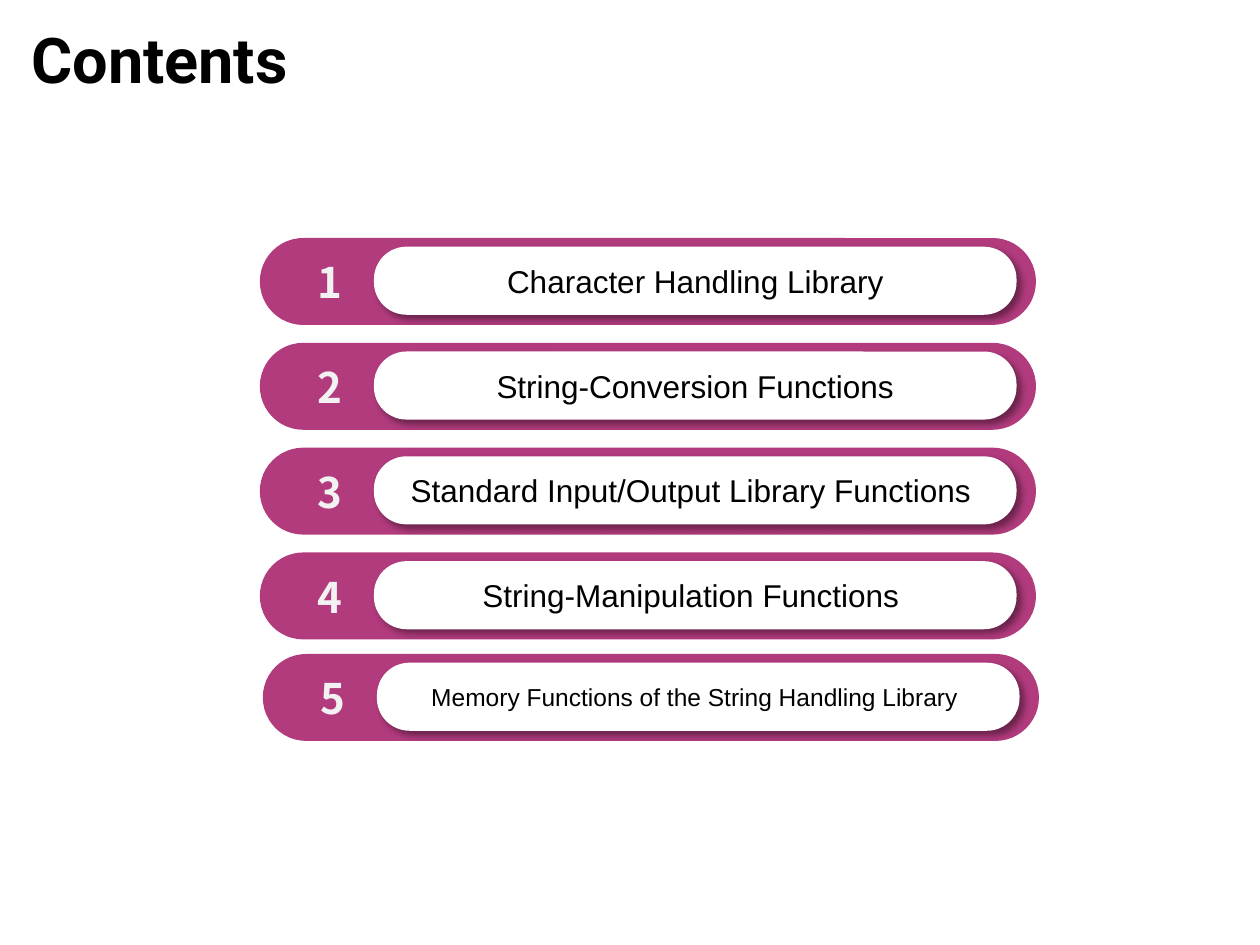
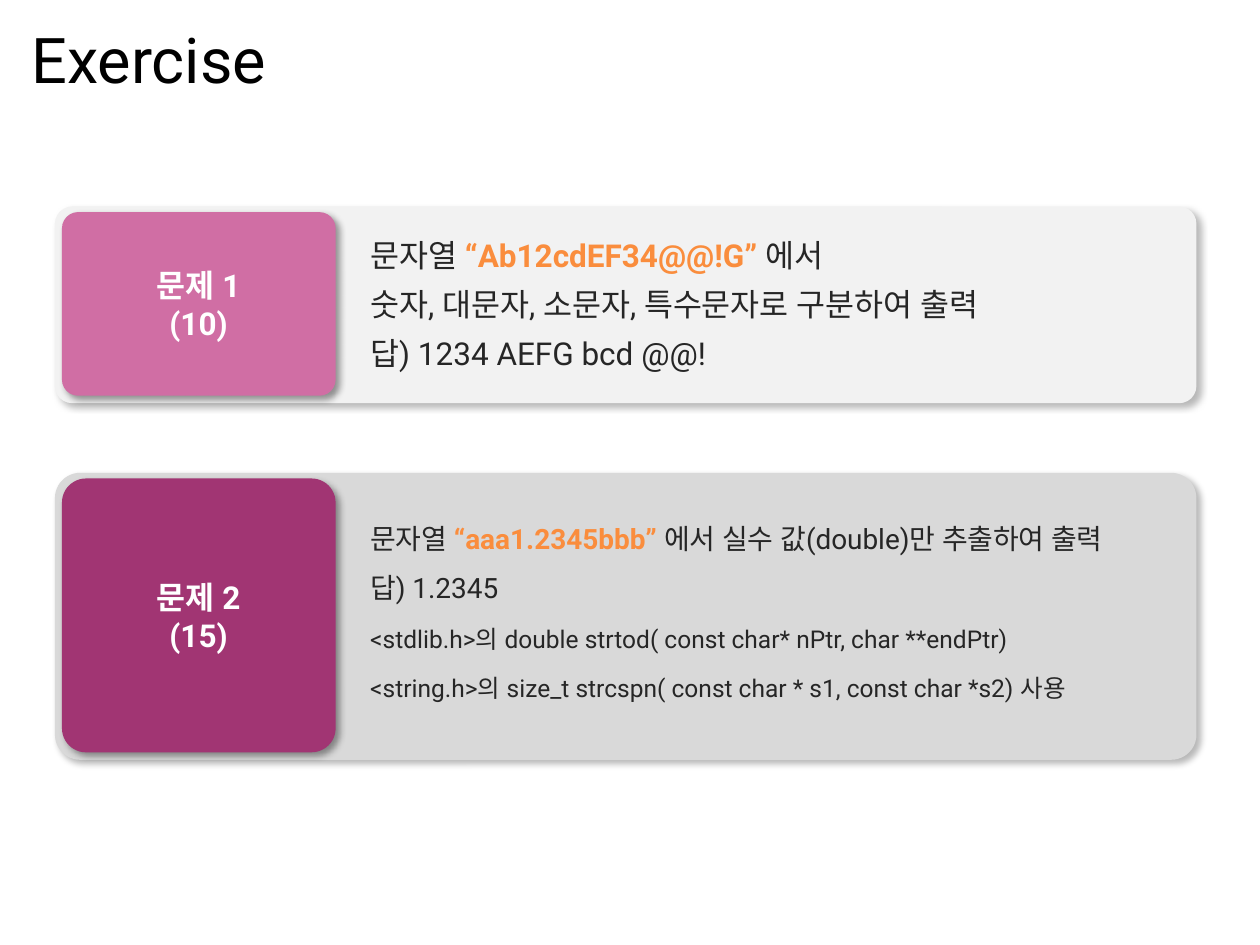
from lxml.etree import SubElement
from pptx import Presentation
from pptx.dml.color import RGBColor
from pptx.enum.shapes import MSO_SHAPE
from pptx.enum.text import MSO_ANCHOR, PP_ALIGN
from pptx.oxml.ns import qn
from pptx.util import Pt

BLACK = RGBColor(0x00, 0x00, 0x00)
WHITE = RGBColor(0xFF, 0xFF, 0xFF)
INK = RGBColor(0x26, 0x26, 0x26)
ORANGE = RGBColor(0xFA, 0x8D, 0x3D)
MAGENTA = RGBColor(0xB2, 0x3B, 0x7E)
PINK = RGBColor(0xD0, 0x6E, 0xA4)
PLUM = RGBColor(0xA1, 0x35, 0x73)
PALE_GREY = RGBColor(0xF2, 0xF2, 0xF2)
GREY = RGBColor(0xD9, 0xD9, 0xD9)

SANS = "Roboto"
TOPIC_FONT = "Arial"
NUMBER_FONT = "Noto Sans CJK KR"

TOPICS = [
    ("Character Handling Library", 18),
    ("String-Conversion Functions", 18),
    ("Standard Input/Output Library Functions ", 18),
    ("String-Manipulation Functions ", 18),
    ("Memory Functions of the String Handling Library ", 14),
]

# Each line is a text size and its (text, highlighted) spans.
EXERCISE_1 = [
    (18, [("문자열 ", False), ("“Ab12cdEF34@@!G” ", True), ("에서", False)]),
    (18, [("숫자, 대문자, 소문자, 특수문자로 구분하여 출력", False)]),
    (18, [("답) 1234 AEFG bcd @@!", False)]),
]
EXERCISE_2 = [
    (16, [("문자열 ", False), ("“aaa1.2345bbb” ", True),
          ("에서 실수 값(double)만 추출하여 출력", False)]),
    (16, [("답) 1.2345", False)]),
    (14, [("<stdlib.h>의 double strtod( const char* nPtr, char **endPtr)", False)]),
    (14, [("<string.h>의 size_t strcspn( const char * s1, const char *s2) 사용", False)]),
]


def style_span(span, size, color, font=SANS, bold=False):
    span.font.size = Pt(size)
    span.font.name = font
    span.font.bold = bold
    span.font.color.rgb = color
    SubElement(span.font._element, qn("a:ea"), typeface=font)


def style_text(shape, size, color, font=SANS, bold=False, align=PP_ALIGN.CENTER):
    for para in shape.text_frame.paragraphs:
        para.alignment = align
        for span in para.runs:
            style_span(span, size, color, font, bold)


def add_text_box(page, left, top, width, height, text="", wrap=True):
    box = page.shapes.add_textbox(Pt(left), Pt(top), Pt(width), Pt(height))
    box.text_frame.word_wrap = wrap
    box.text_frame.text = text
    return box


def add_shadow(shape, opacity):
    """Cast a soft shadow to the lower right; opacity is in percent."""
    effects = shape._element.spPr.find(qn("a:effectLst"))
    shadow = SubElement(effects, qn("a:outerShdw"), blurRad=str(Pt(4)),
                        dist=str(Pt(3)), dir=str(45 * 60000),
                        algn="tl", rotWithShape="0")
    color = SubElement(shadow, qn("a:srgbClr"), val=str(BLACK))
    SubElement(color, qn("a:alpha"), val=str(opacity * 1000))


def add_rounded(page, left, top, width, height, fill, corner, opacity=0):
    shape = page.shapes.add_shape(MSO_SHAPE.ROUNDED_RECTANGLE,
                                  Pt(left), Pt(top), Pt(width), Pt(height))
    shape.adjustments[0] = corner
    shape.fill.solid()
    shape.fill.fore_color.rgb = fill
    shape.line.fill.background()
    shape.shadow.inherit = False
    if opacity:
        add_shadow(shape, opacity)
    return shape


def add_page(deck, title, bold=False):
    page = deck.slides.add_slide(deck.slide_layouts[6])
    box = add_text_box(page, 10.8, 8.6, 648, 49.7, title)
    box.text_frame.vertical_anchor = MSO_ANCHOR.MIDDLE
    style_text(box, 36, BLACK, bold=bold, align=PP_ALIGN.LEFT)
    return page


def add_topic(page, left, top, number, topic, size):
    add_rounded(page, left, top, 443.5, 49.7, MAGENTA, 0.5)
    number_box = add_text_box(page, left + 19.2, top + 7.2, 41.8, 36, str(number))
    style_text(number_box, 24, PALE_GREY, NUMBER_FONT, bold=True)
    pill = add_rounded(page, left + 65.2, top + 5, 367.2, 38.9, WHITE, 0.478, 40)
    pill.text_frame.vertical_anchor = MSO_ANCHOR.MIDDLE
    pill.text_frame.text = topic
    style_text(pill, size, BLACK, TOPIC_FONT)


def add_exercise(page, top, height, panel_color, badge_color, label, text_top, lines):
    add_rounded(page, 31.4, top, 652.3, height, panel_color, 0.088, 27)
    add_rounded(page, 35.4, top + 3.2, 156.4, height - 7.5, badge_color, 0.088, 40)
    label_height = 51.2
    label_box = add_text_box(page, 80, top + (height - label_height) / 2,
                             67, label_height, label, wrap=False)
    style_text(label_box, 18, WHITE, bold=True)

    box = add_text_box(page, 204.5, text_top, 479.5, 29 * len(lines) + 4)
    frame = box.text_frame
    for index, (size, spans) in enumerate(lines):
        para = frame.add_paragraph() if index else frame.paragraphs[0]
        para.line_spacing = Pt(27)
        para.space_before = Pt(1)
        for text, highlighted in spans:
            span = para.add_run()
            span.text = text
            style_span(span, size, ORANGE if highlighted else INK, bold=highlighted)


def build_contents(deck):
    page = add_page(deck, "Contents", bold=True)
    for index, (topic, size) in enumerate(TOPICS):
        is_last = index == len(TOPICS) - 1
        left, top = (150.2, 373.7) if is_last else (148.5, 136 + 59.9 * index)
        add_topic(page, left, top, index + 1, topic, size)


def build_exercise(deck):
    page = add_page(deck, "Exercise")
    add_exercise(page, 118, 112.4, PALE_GREY, PINK, "문제 1\n(10)", 126, EXERCISE_1)
    add_exercise(page, 270.2, 164, GREY, PLUM, "문제 2\n(15)", 286.6, EXERCISE_2)


def main():
    deck = Presentation()
    deck.slide_width = Pt(720)
    deck.slide_height = Pt(540)
    build_contents(deck)
    build_exercise(deck)
    deck.save("out.pptx")


if __name__ == "__main__":
    main()
